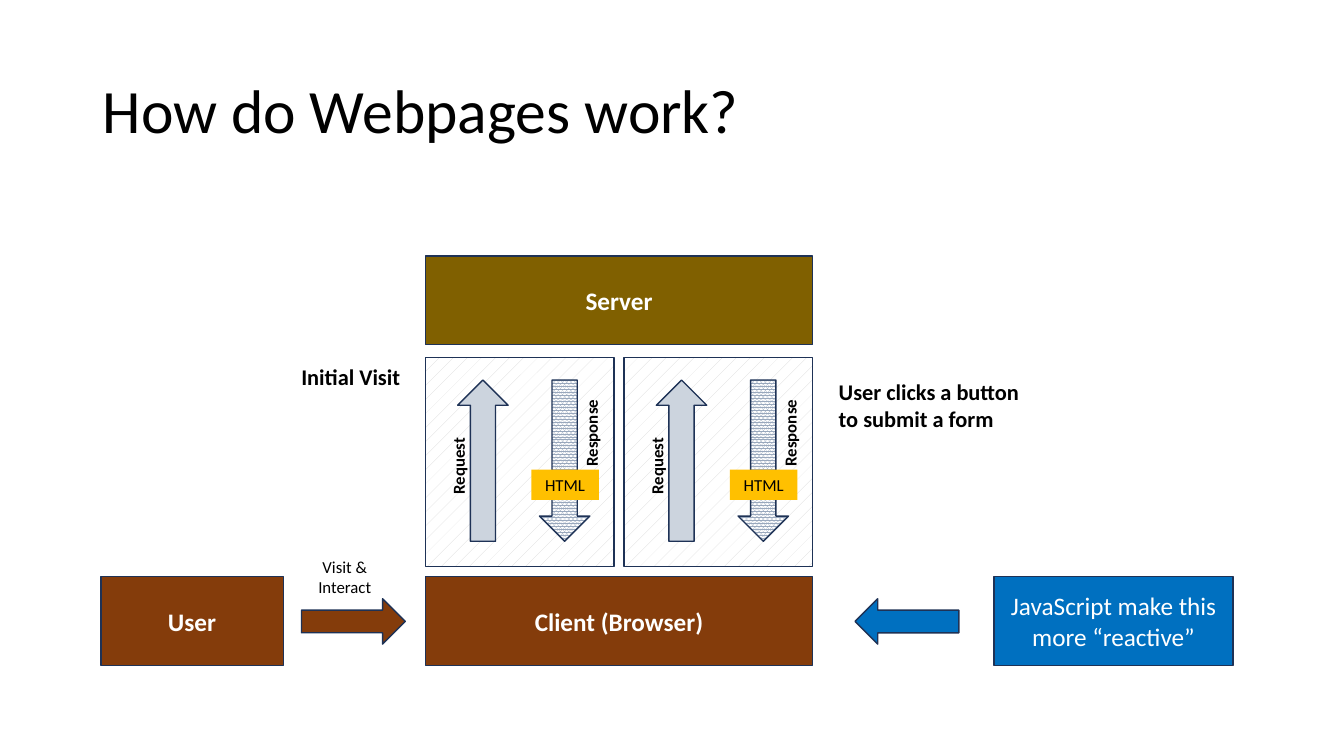
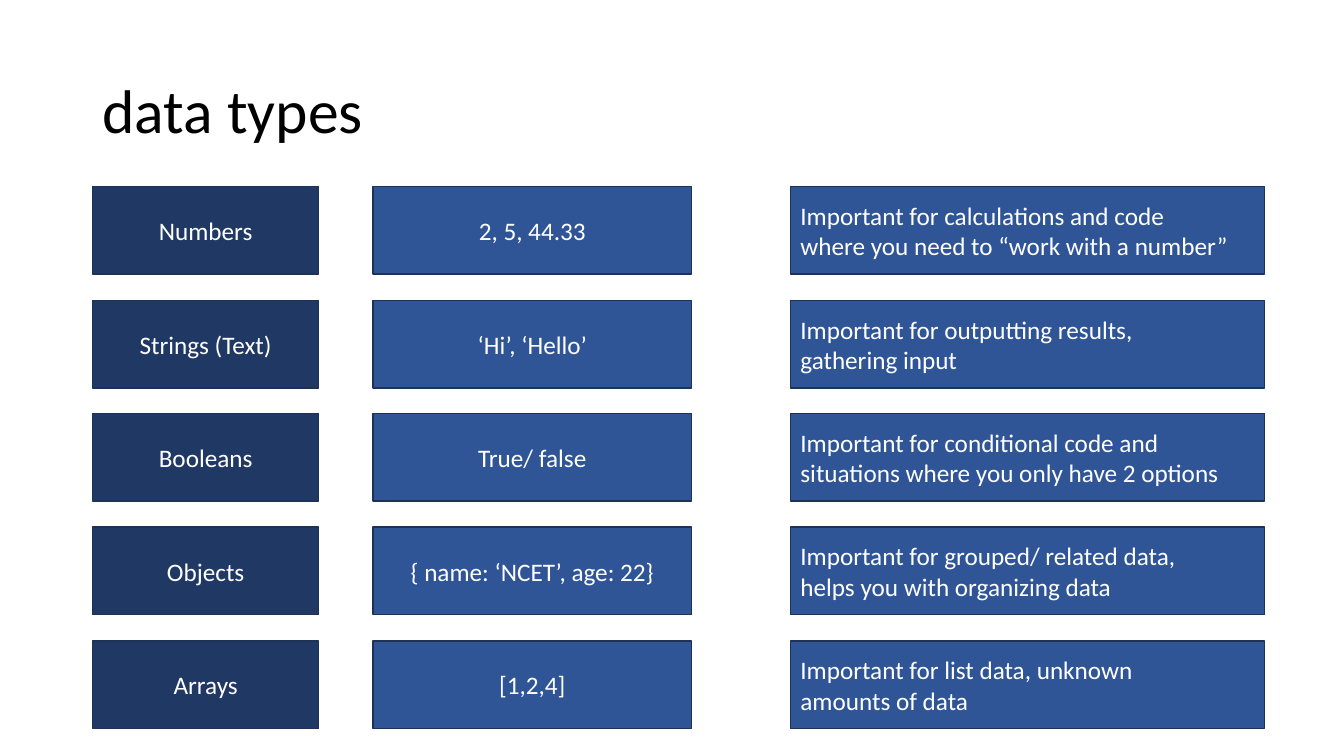
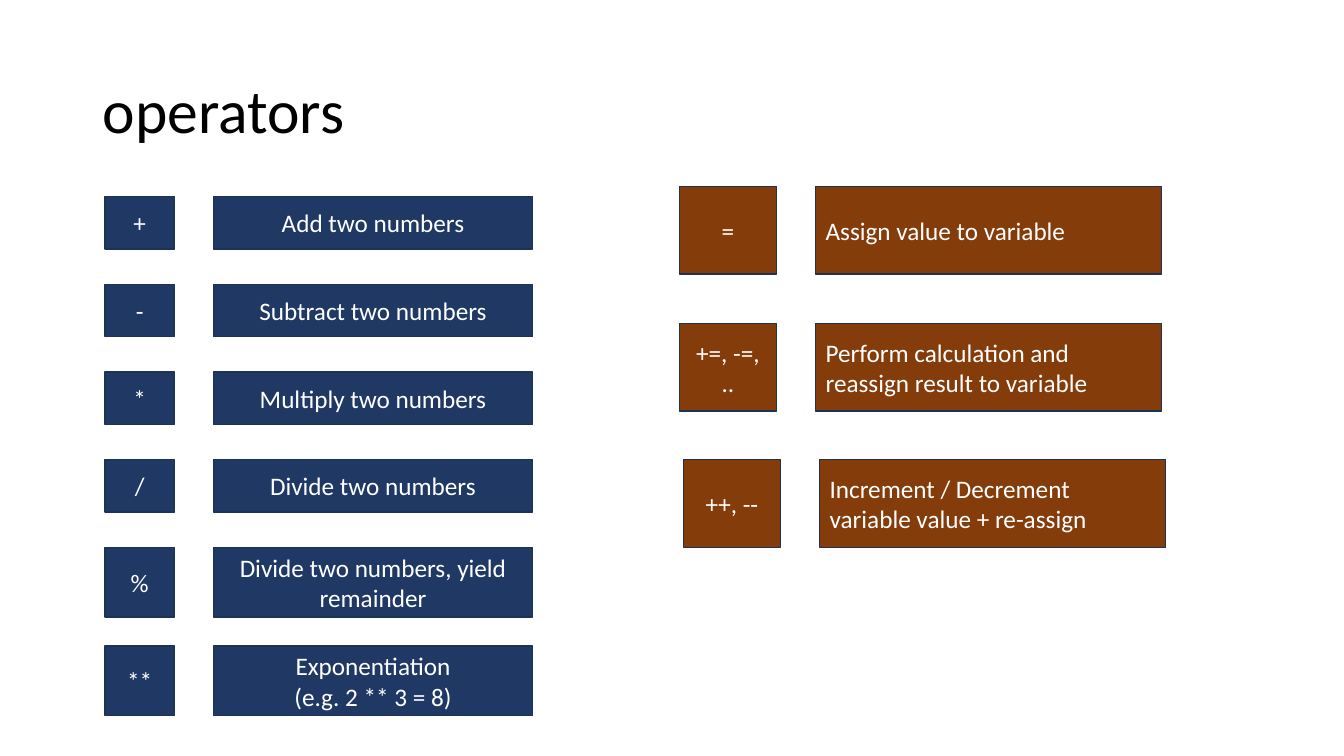
from pptx import Presentation
from pptx.dml.color import RGBColor
from pptx.enum.dml import MSO_PATTERN
from pptx.enum.shapes import MSO_SHAPE
from pptx.enum.text import MSO_ANCHOR, MSO_AUTO_SIZE, PP_ALIGN
from pptx.util import Emu, Pt

RECTANGLE, ARROW = MSO_SHAPE.RECTANGLE, MSO_SHAPE.RIGHT_ARROW
SPARSE, DENSE = MSO_PATTERN.PERCENT_5, MSO_PATTERN.PERCENT_80
LEFT, CENTER = PP_ALIGN.LEFT, PP_ALIGN.CENTER
TOP, MIDDLE = MSO_ANCHOR.TOP, MSO_ANCHOR.MIDDLE
GROW = MSO_AUTO_SIZE.SHAPE_TO_FIT_TEXT

EMU_PER_PX = 9144
FONT = "Calibri"
BLACK, WHITE = "000000", "FFFFFF"
OUTLINE, NAVY, BLUE = "1E3256", "203864", "2F5597"
BROWN, OLIVE, AZURE, AMBER = "843C0B", "806000", "0070C0", "FFC000"
PALE, STEEL, GREY = "CCD4DE", "99A8BD", "D9D9D9"

DATA_TYPES = [
    ("Numbers", "2, 5, 44.33",
     "Important for calculations and code\nwhere you need to “work with a number”"),
    ("Strings (Text)", "‘Hi’, ‘Hello’",
     "Important for outputting results,\ngathering input"),
    ("Booleans", "True/ false",
     "Important for conditional code and\nsituations where you only have 2 options"),
    ("Objects", "{ name: ‘NCET’, age: 22}",
     "Important for grouped/ related data,\nhelps you with organizing data"),
    ("Arrays", "[1,2,4]",
     "Important for list data, unknown\namounts of data"),
]
ARITHMETIC = [
    (195, 52, "+", "Add two numbers"),
    (282, 52, "-", "Subtract two numbers"),
    (369, 52, "*", "Multiply two numbers"),
    (456, 52, "/", "Divide two numbers"),
    (543, 69, "%", "Divide two numbers, yield remainder"),
    (641, 69, "**", "Exponentiation\v(e.g. 2 ** 3 = 8)"),
]
ASSIGNMENT = [
    (674, 185, "=", "Assign value to variable"),
    (674, 321, "+=, -=,\v..", "Perform calculation and reassign result to variable"),
    (678, 456, "++, --", "Increment / Decrement\nvariable value + re-assign"),
]


def rgb(value):
    return RGBColor.from_string(value)


def px(*lengths):
    return [Emu(length * EMU_PER_PX) for length in lengths]


def apply(target, **values):
    for name, value in values.items():
        setattr(target, name, value)


def write(shape, text, size=18, color=WHITE, bold=False, align=CENTER,
          spacing=None, **frame_format):
    frame = shape.text_frame
    apply(frame, **{"word_wrap": True, "vertical_anchor": MIDDLE, **frame_format})
    for index, line in enumerate(text.split("\n")):
        para = frame.add_paragraph() if index else frame.paragraphs[0]
        para.text = line
        apply(para, alignment=align, line_spacing=spacing)
        for span in para.runs:
            apply(span.font, name=FONT, size=Pt(size), bold=bold)
            span.font.color.rgb = rgb(color)


def draw(page, box, fill, kind=RECTANGLE, pattern=None, outlined=True, rotation=0):
    shape = page.shapes.add_shape(kind, *px(*box))
    shape.shadow.inherit = False
    shape.rotation = rotation
    if pattern:
        shape.fill.patterned()
        shape.fill.pattern = pattern
        shape.fill.fore_color.rgb = rgb(fill)
        shape.fill.back_color.rgb = rgb(WHITE)
    else:
        shape.fill.solid()
        shape.fill.fore_color.rgb = rgb(fill)
    if outlined:
        shape.line.color.rgb = rgb(OUTLINE)
        shape.line.width = Pt(1)
    else:
        shape.line.fill.background()
    return shape


def block(page, box, fill, text, **text_format):
    write(draw(page, box, fill), text, **text_format)


def label(page, box, text, rotation=0, **text_format):
    shape = page.shapes.add_textbox(*px(*box))
    shape.rotation = rotation
    defaults = {"color": BLACK, "align": LEFT, "vertical_anchor": TOP, "auto_size": GROW}
    write(shape, text, **{**defaults, **text_format})


def titled_page(deck, title):
    page = deck.slides.add_slide(deck.slide_layouts[6])
    label(page, (92, 40, 1150, 145), title, size=44, spacing=0.9,
          vertical_anchor=MIDDLE, auto_size=MSO_AUTO_SIZE.NONE)
    return page


def exchange_panel(page, left, top):
    draw(page, (left, top, 187, 207), GREY, pattern=SPARSE)
    draw(page, (left - 23, top + 77, 160, 50), PALE, ARROW, rotation=270)
    draw(page, (left + 58, top + 77, 160, 50), STEEL, ARROW, DENSE, rotation=90)
    tag = draw(page, (left + 105, top + 111, 67, 30), AMBER, outlined=False)
    write(tag, "HTML", size=12, color=BLACK, vertical_anchor=TOP, auto_size=GROW)
    label(page, (left - 9, top + 89, 83, 30), "Request", 270, size=12, bold=True)
    label(page, (left + 113, top + 51, 103, 30), "Response", 270, size=12, bold=True)


def webpages_page(deck):
    page = titled_page(deck, "How do Webpages work?")
    block(page, (100, 572, 181, 88), BROWN, "User", bold=True)
    block(page, (422, 572, 384, 88), BROWN, "Client (Browser)", bold=True)
    block(page, (422, 254, 384, 88), OLIVE, "Server", bold=True)
    block(page, (986, 572, 237, 88), AZURE, "JavaScript make this more “reactive”")
    draw(page, (299, 594, 103, 45), BROWN, ARROW)
    draw(page, (848, 594, 103, 45), AZURE, ARROW, rotation=180)
    for left in (422, 619):
        exchange_panel(page, left, 355)
    label(page, (299, 547, 86, 50), "Visit & Interact", size=12, align=CENTER)
    label(page, (289, 355, 120, 37), "Initial Visit", size=16, bold=True)
    label(page, (822, 370, 202, 64), "User clicks a button\nto submit a form",
          size=16, bold=True, word_wrap=False)


def data_type_row(page, left, top, name, example, purpose):
    block(page, (left, top, 224, 87), NAVY, name)
    block(page, (left + 278, top, 316, 87), BLUE, example)
    block(page, (left + 692, top, 470, 87), BLUE, purpose, align=LEFT)


def data_types_page(deck):
    page = titled_page(deck, "data types")
    for index, row in enumerate(DATA_TYPES):
        data_type_row(page, 92, round(185 + index * 112.75), *row)


def arithmetic_row(page, left, top, height, symbol, meaning):
    block(page, (left, top, 69, height), NAVY, symbol)
    block(page, (left + 108, top, 316, height), NAVY, meaning)


def assignment_row(page, left, top, symbol, meaning):
    block(page, (left, top, 96, 87), BROWN, symbol)
    block(page, (left + 135, top, 343, 87), BROWN, meaning, align=LEFT)


def operators_page(deck):
    page = titled_page(deck, "operators")
    for row in ARITHMETIC:
        arithmetic_row(page, 104, *row)
    for row in ASSIGNMENT:
        assignment_row(page, *row)


def main():
    deck = Presentation()
    deck.slide_width, deck.slide_height = px(1333, 750)
    webpages_page(deck)
    data_types_page(deck)
    operators_page(deck)
    deck.save("out.pptx")


if __name__ == "__main__":
    main()
